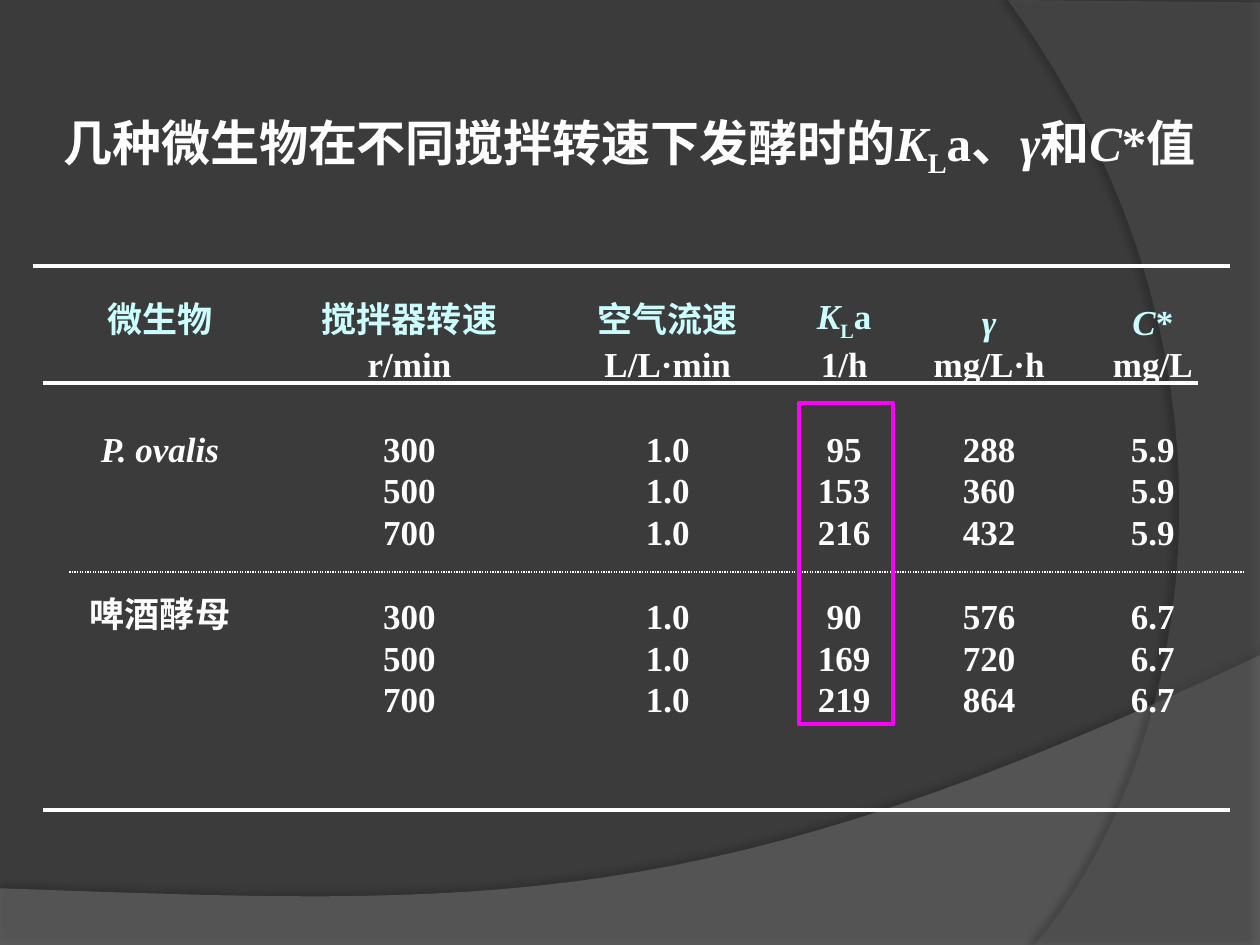
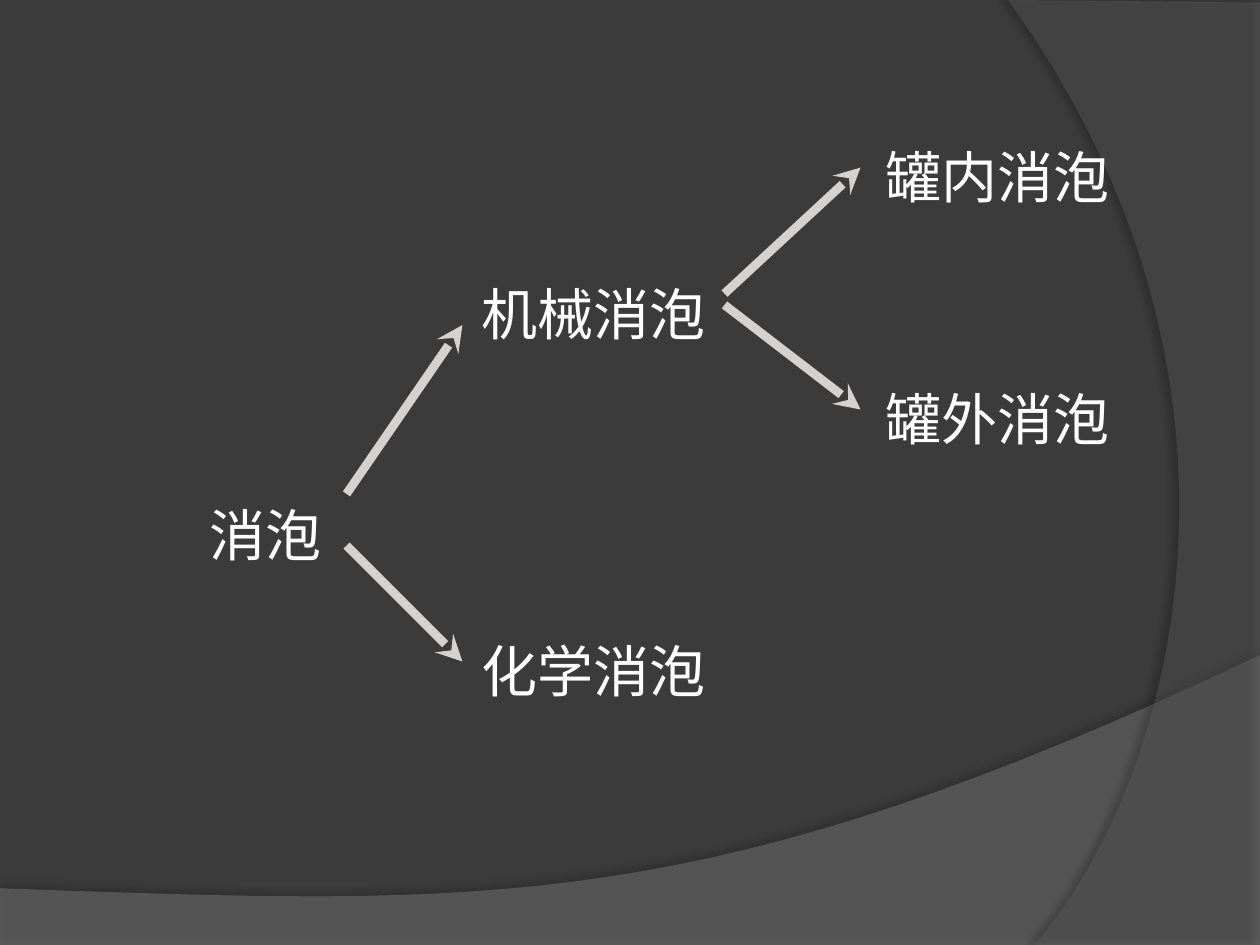
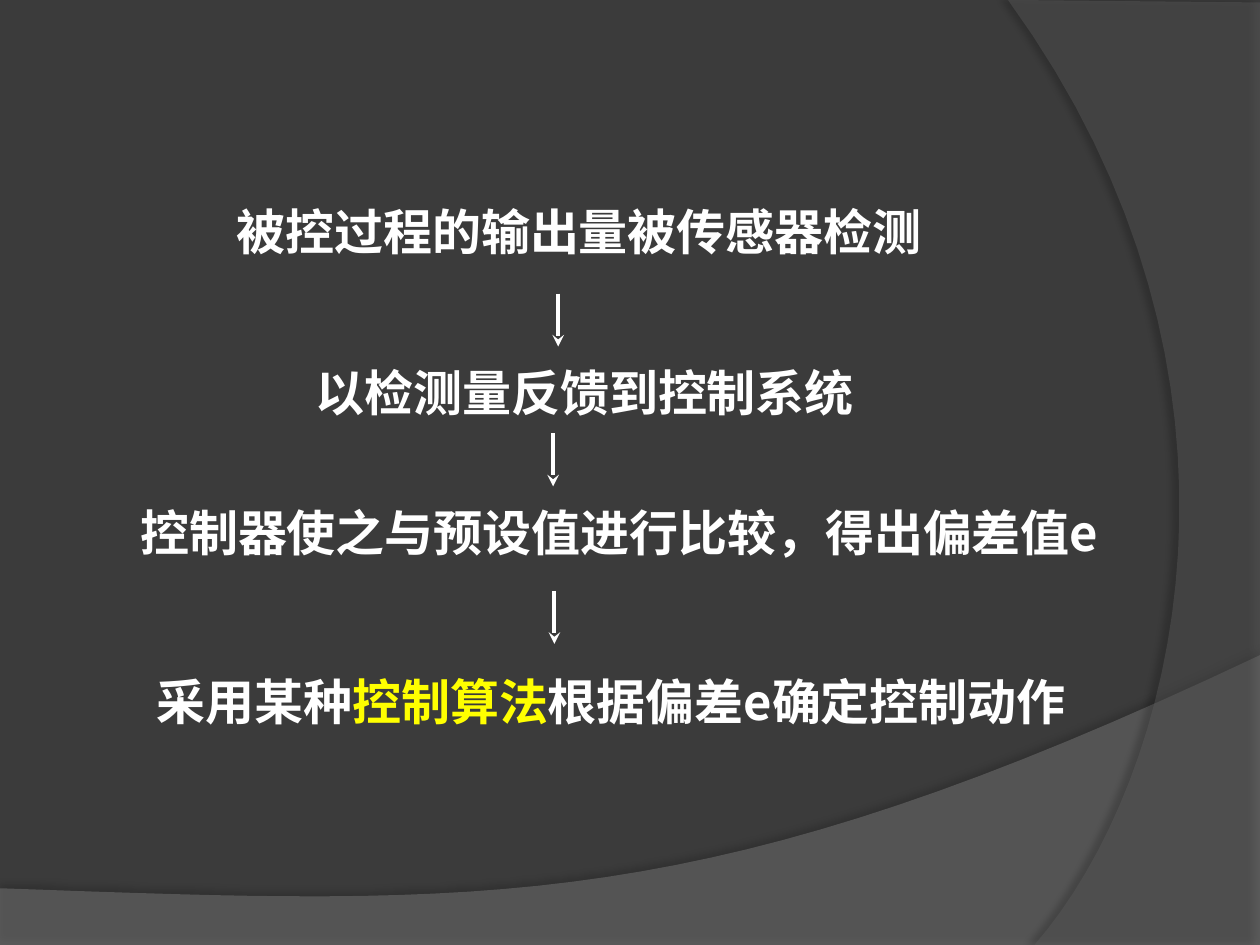
import pptx
import pptx.dml.color
import pptx.enum.dml
import pptx.enum.shapes
import pptx.enum.text
import pptx.oxml
import pptx.oxml.ns
import pptx.util
from pptx.dml.color import RGBColor
from pptx.util import Inches

BACKGROUND = RGBColor(0x3B, 0x3B, 0x3B)
WAVE = RGBColor(0x7F, 0x7F, 0x7F)
ARC = RGBColor(0x5E, 0x5E, 0x5E)
WHITE = RGBColor(0xFF, 0xFF, 0xFF)
HEADER = RGBColor(0xCC, 0xFF, 0xFF)
BRANCH = RGBColor(0xD4, 0xD2, 0xD0)
MAGENTA = RGBColor(0xFF, 0x00, 0xFF)
YELLOW = RGBColor(0xFF, 0xFF, 0x00)

SERIF = "Times New Roman"
SANS = "Arial"
CJK = "Noto Sans CJK SC"
CENTER = pptx.enum.text.PP_ALIGN.CENTER
TITLE_ONLY, BLANK = 5, 6
NO_TABLE_STYLE = "{2D5ABB26-0587-4C30-8999-92F81FD0307C}"

KLA = [("K", "italic"), ("L", "sub"), ("a", "")]
TITLE = [("几种微生物在不同搅拌转速下发酵时的", ""), *KLA, ("、", ""), ("γ", "italic"),
         ("和", ""), ("C", "italic"), ("*值", "")]
HEADINGS = [[("微生物", "")], [("搅拌器转速", "")], [("空气流速", "")], KLA,
            [("γ", "italic")], [("C", "italic"), ("*", "")]]
UNITS = ["", "r/min", "L/L·min", "1/h", "mg/L·h", "mg/L"]
RESULTS = [
    ["P. ovalis", "300", "1.0", "95", "288", "5.9"],
    ["", "500", "1.0", "153", "360", "5.9"],
    ["", "700", "1.0", "216", "432", "5.9"],
    ["啤酒酵母", "300", "1.0", "90", "576", "6.7"],
    ["", "500", "1.0", "169", "720", "6.7"],
    ["", "700", "1.0", "219", "864", "6.7"],
]
COLUMN_WIDTHS = [1.86, 2.1, 2, 0.8, 1.5, 1.1]
ROW_HEIGHTS = [0.44, 0.34] + [0.67, 0.33, 0.33] * 2


def add_xml(parent, tag, **attributes):
    child = pptx.oxml.parse_xml(f"<{tag} {pptx.oxml.ns.nsdecls('a')}/>")
    for name, value in attributes.items():
        child.set(name, str(value))
    parent.append(child)
    return child


def curve(start, c1, c2, end, steps=32):
    points = []
    for i in range(1, steps + 1):
        t = i / steps
        weights = ((1 - t) ** 3, 3 * t * (1 - t) ** 2, 3 * t * t * (1 - t), t ** 3)
        points.append(tuple(sum(w * q[axis] for w, q in zip(weights, (start, c1, c2, end)))
                            for axis in (0, 1)))
    return points


def add_backdrop(prs, s, order, points, color, opacity, shadow_opacity, distance, angle):
    emu = [(Inches(x), Inches(y)) for x, y in points]
    builder = s.shapes.build_freeform(*emu[0], scale=1)
    builder.add_line_segments(emu[1:], close=True)
    sp = builder.convert_to_shape()
    sp.fill.solid()
    sp.fill.fore_color.rgb = color
    sp.line.fill.background()
    fill = sp.element.spPr.find(pptx.oxml.ns.qn("a:solidFill"))
    add_xml(fill[0], "a:alpha", val=opacity * 1000)
    effects = add_xml(sp.element.spPr, "a:effectLst")
    shadow = add_xml(effects, "a:outerShdw", blurRad=pptx.util.Pt(4),
                     dist=pptx.util.Pt(distance), dir=angle * 60000, rotWithShape=0)
    black = add_xml(shadow, "a:srgbClr", val="000000")
    add_xml(black, "a:alpha", val=shadow_opacity * 1000)
    sp.element.nvSpPr.cNvPr.set("id", str(20 + order))
    prs.slide_master.shapes.element.insert(2 + order, sp.element)


def style_master(prs, s):
    fill = prs.slide_master.background.fill
    fill.solid()
    fill.fore_color.rgb = BACKGROUND
    wave = [(0, 7.05), (0, 7.5), (10, 7.5), (10, 5.2)]
    wave += curve((10, 5.2), (5.59, 7.29), (3.91, 7.19), (0, 7.05))
    arc = [(10, 0.02), (10, 7.5), (8.21, 7.5)]
    arc += curve((8.21, 7.5), (9.35, 6.19), (10.18, 3), (8, 0))
    add_backdrop(prs, s, 0, wave, WAVE, 45, 35, 3.5, 270)
    add_backdrop(prs, s, 1, arc, ARC, 40, 45, 4, 180)


def write(tf, parts, size, font, bold=False, color=WHITE):
    p = tf.paragraphs[0]
    p.alignment = CENTER
    p.font.size = pptx.util.Pt(size)
    p.font.name = font
    p.font.bold = bold
    for text, mark in parts:
        r = p.add_run()
        r.text = text
        r.font.color.rgb = YELLOW if mark == "highlight" else color
        if mark == "italic":
            r.font.italic = True
        if mark == "sub":
            r.font._element.set("baseline", "-25000")


def add_label(s, x, y, w, h, parts, size, font, bold=False):
    tf = s.shapes.add_textbox(Inches(x), Inches(y), Inches(w), Inches(h)).text_frame
    tf.word_wrap = True
    tf.auto_size = pptx.enum.text.MSO_AUTO_SIZE.SHAPE_TO_FIT_TEXT
    write(tf, parts, size, font, bold)


def add_line(s, x1, y1, x2, y2, width, color=WHITE, arrow=False, dotted=False):
    line = s.shapes.add_connector(pptx.enum.shapes.MSO_CONNECTOR.STRAIGHT,
                                  Inches(x1), Inches(y1), Inches(x2), Inches(y2))
    line.line.color.rgb = color
    line.line.width = pptx.util.Pt(width)
    if dotted:
        line.line.dash_style = pptx.enum.dml.MSO_LINE.ROUND_DOT
    if arrow:
        add_xml(line.line._get_or_add_ln(), "a:tailEnd", type="stealth")
    add_xml(line.element.spPr, "a:effectLst")


def add_title(s):
    title = s.shapes.title
    title.left, title.top = Inches(0.27), Inches(0.84)
    title.width, title.height = Inches(9.45), Inches(1.15)
    tf = title.text_frame
    tf.word_wrap = True
    tf.auto_size = pptx.enum.text.MSO_AUTO_SIZE.NONE
    tf.vertical_anchor = pptx.enum.text.MSO_ANCHOR.TOP
    write(tf, TITLE, 28, SERIF, True)


def add_results_table(s):
    rows = [HEADINGS]
    for values in [UNITS] + RESULTS:
        rows.append([[(v, "italic" if v == "P. ovalis" else "")] if v else [] for v in values])
    frame = s.shapes.add_table(len(rows), len(COLUMN_WIDTHS), Inches(0.34), Inches(2.28),
                               Inches(sum(COLUMN_WIDTHS)), Inches(sum(ROW_HEIGHTS)))
    table = frame.table
    table.first_row = table.horz_banding = False
    table._tbl.tblPr.find(pptx.oxml.ns.qn("a:tableStyleId")).text = NO_TABLE_STYLE
    for column, width in zip(table.columns, COLUMN_WIDTHS):
        column.width = Inches(width)
    for i, (row, height) in enumerate(zip(table.rows, ROW_HEIGHTS)):
        row.height = Inches(height)
        for cell, parts in zip(row.cells, rows[i]):
            cell.fill.background()
            cell.margin_left = cell.margin_right = cell.margin_top = cell.margin_bottom = 0
            cell.vertical_anchor = pptx.enum.text.MSO_ANCHOR.BOTTOM
            write(cell.text_frame, parts, 20, SERIF, True, WHITE if i else HEADER)


def build_results(s):
    add_title(s)
    add_results_table(s)
    for left, right, y, width in [(0.26, 9.76, 2.11, 2.5), (0.34, 9.51, 3.04, 2),
                                  (0.34, 9.76, 6.43, 2.5)]:
        add_line(s, left, y, right, y, width)
    add_line(s, 0.55, 4.54, 9.88, 4.54, 0.75, dotted=True)
    box = s.shapes.add_shape(pptx.enum.shapes.MSO_SHAPE.RECTANGLE,
                             Inches(6.34), Inches(3.2), Inches(0.75), Inches(2.55))
    box.shadow.inherit = False
    box.fill.background()
    box.line.color.rgb = MAGENTA
    box.line.width = pptx.util.Pt(2.25)


def build_defoaming_tree(s):
    for text, x, y, w in [("消泡", 1.38, 3.92, 1.46), ("机械消泡", 3.67, 2.17, 2.08),
                          ("化学消泡", 3.67, 5, 2.08), ("罐内消泡", 6.83, 1.08, 2.17),
                          ("罐外消泡", 6.83, 3, 2.17)]:
        add_label(s, x, y, w, 0.63, [(text, "")], 32, SANS)
    for ends in [(2.75, 3.92, 3.67, 2.58), (2.75, 4.33, 3.67, 5.25),
                 (5.75, 2.33, 6.83, 1.33), (5.75, 2.42, 6.83, 3.25)]:
        add_line(s, *ends, 5, BRANCH, arrow=True)


def build_control_flow(s):
    steps = [
        (1.22, 1.55, 6.75, [("被控过程的输出量被传感器检测", "")]),
        (1.93, 2.83, 5.42, [("以检测量反馈到控制系统", "")]),
        (0.9, 3.94, 8.03, [("控制器使之与预设值进行比较，得出偏差值e", "")]),
        (1.06, 5.28, 7.58, [("采用某种", ""), ("控制算法", "highlight"),
                            ("根据偏差e确定控制动作", "")]),
    ]
    for x, y, w, parts in steps:
        add_label(s, x, y, w, 0.57, parts, 28, CJK, True)
    for x, y in [(4.43, 2.33), (4.39, 3.44), (4.4, 4.69)]:
        add_line(s, x, y, x, y + 0.42, 2.25, arrow=True)


def main():
    prs = pptx.Presentation()
    prs.slide_width, prs.slide_height = Inches(10), Inches(7.5)
    results, tree, flow = [prs.slides.add_slide(prs.slide_layouts[i])
                           for i in (TITLE_ONLY, BLANK, BLANK)]
    style_master(prs, results)
    build_results(results)
    build_defoaming_tree(tree)
    build_control_flow(flow)
    prs.save("out.pptx")


if __name__ == "__main__":
    main()
